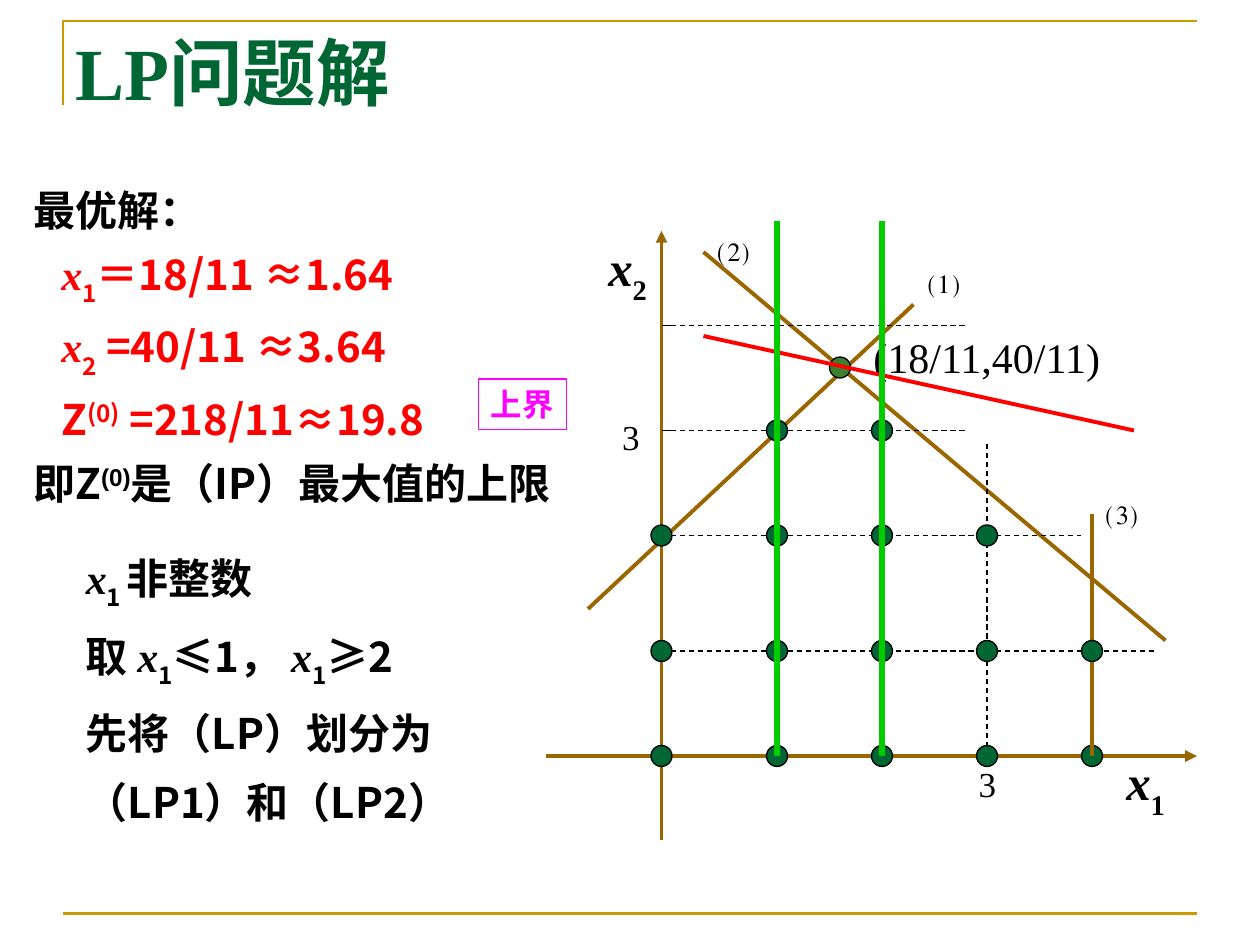
from dataclasses import dataclass
from typing import Optional

from lxml.etree import SubElement
from pptx import Presentation
from pptx.dml.color import RGBColor
from pptx.enum.dml import MSO_LINE
from pptx.enum.shapes import MSO_CONNECTOR, MSO_SHAPE
from pptx.enum.text import MSO_ANCHOR, MSO_AUTO_SIZE, PP_ALIGN
from pptx.oxml.ns import qn
from pptx.util import Pt

SERIF = "Times New Roman"
SANS = "Noto Sans CJK SC"
BLACK, RED, GREEN, BROWN = "000000", "FF0000", "006633", "996600"
GOLD, LIME, MAGENTA = "CC9900", "00CC00", "FF00FF"
COLUMNS = [378, 444, 504, 564, 624]
ROWS = [432, 372, 306, 246, 186]


@dataclass
class Span:
    text: str
    font: Optional[str] = None
    italic: bool = False
    shift: int = 0


@dataclass
class Para:
    spans: list[Span]
    size: float
    color: str = BLACK
    font: str = SERIF
    bold: bool = False
    indent: float = 0


@dataclass
class Box:
    left: float
    top: float
    width: float
    height: float
    paras: list[Para]
    gap: float = 0
    wrap: bool = False


@dataclass
class Line:
    x1: float
    y1: float
    x2: float
    y2: float
    color: str = BROWN
    width: float = 2.25
    dashed: bool = False
    arrow: bool = False


def rgb(value: str) -> RGBColor:
    return RGBColor.from_string(value)


def draw_line(page, item: Line) -> None:
    line = page.shapes.add_connector(
        MSO_CONNECTOR.STRAIGHT, Pt(item.x1), Pt(item.y1), Pt(item.x2), Pt(item.y2))
    line.line.color.rgb = rgb(item.color)
    line.line.width = Pt(item.width)
    if item.dashed:
        line.line.dash_style = MSO_LINE.DASH
    if item.arrow:
        SubElement(line.line._get_or_add_ln(), qn("a:tailEnd"), type="triangle")
    SubElement(line._element.spPr, qn("a:effectLst"))


def draw_dot(page, x: float, y: float, color: str = GREEN) -> None:
    dot = page.shapes.add_shape(MSO_SHAPE.OVAL, Pt(x - 6), Pt(y - 6), Pt(12), Pt(12))
    dot.shadow.inherit = False
    dot.fill.solid()
    dot.fill.fore_color.rgb = rgb(color)
    dot.line.color.rgb = rgb(BLACK)
    dot.line.width = Pt(0.75)


def write_para(para, item: Para) -> None:
    para.alignment = PP_ALIGN.LEFT
    properties = para._p.get_or_add_pPr()
    if item.indent:
        properties.set("marL", str(Pt(item.indent)))
        properties.set("indent", "0")
    para.font.size = Pt(item.size)
    para.font.bold = item.bold
    para.font.color.rgb = rgb(item.color)
    para.font.name = item.font
    SubElement(properties.find(qn("a:defRPr")), qn("a:ea"), typeface=SANS)
    for span in item.spans:
        run = para.add_run()
        run.text = span.text
        if span.font:
            run.font.name = span.font
        if span.italic:
            run.font.italic = True
        if span.shift:
            run._r.get_or_add_rPr().set("baseline", str(span.shift * 1000))


def fill_frame(frame, item: Box) -> None:
    frame.word_wrap = item.wrap
    frame.auto_size = MSO_AUTO_SIZE.SHAPE_TO_FIT_TEXT
    frame.vertical_anchor = MSO_ANCHOR.TOP
    for index, content in enumerate(item.paras):
        para = frame.add_paragraph() if index else frame.paragraphs[0]
        if index and item.gap:
            para.space_before = Pt(item.gap)
        write_para(para, content)


def draw_text(page, item: Box) -> None:
    box = page.shapes.add_textbox(
        Pt(item.left), Pt(item.top), Pt(item.width), Pt(item.height))
    fill_frame(box.text_frame, item)


def draw_tag(page, item: Box, color: str) -> None:
    tag = page.shapes.add_shape(
        MSO_SHAPE.RECTANGLE, Pt(item.left), Pt(item.top), Pt(item.width), Pt(item.height))
    tag.shadow.inherit = False
    tag.fill.background()
    tag.line.color.rgb = rgb(color)
    tag.line.width = Pt(0.75)
    fill_frame(tag.text_frame, item)


def draw_corner(page) -> None:
    builder = page.shapes.build_freeform(Pt(36), Pt(60))
    builder.add_line_segments([(Pt(36), Pt(12)), (Pt(684), Pt(12))], close=False)
    corner = builder.convert_to_shape()
    corner.shadow.inherit = False
    corner.fill.background()
    corner.line.color.rgb = rgb(GOLD)
    corner.line.width = Pt(1.5)


def variable(index: str) -> list[Span]:
    return [Span("x", SERIF, True), Span(index, shift=-30)]


def body(*spans: Span, color: str = BLACK, indent: float = 0) -> Para:
    return Para(list(spans), 24, color, SANS, True, indent)


def label(left: float, top: float, width: float, text: str, size: float = 20) -> Box:
    return Box(left, top, width, 31.5, [Para([Span(text)], size)])


def draw_graph(page) -> None:
    draw_line(page, Line(312, 432, 684, 432, arrow=True))
    draw_line(page, Line(378, 480, 378, 132, arrow=True))
    for y in ROWS[3:]:
        draw_line(page, Line(378, y, 384, y, BLACK, 0.75))
    for left, top, index in [(636.5, 426, "1"), (340.5, 132, "2")]:
        name = Para(variable(index), 28, bold=True)
        draw_text(page, Box(left, top, 40, 46.8, [name]))
    draw_line(page, Line(666, 366, 402, 144))
    draw_line(page, Line(336, 348, 522, 174))
    for item in [label(523.5, 144, 31.7, "⑴"), label(403.2, 126, 31.7, "⑵"),
                 label(348.5, 234, 24.5, "3"), label(552.2, 432, 24.5, "3"),
                 label(492, 186, 145.5, "(18/11,40/11)", 24),
                 label(625, 276, 31.7, "⑶")]:
        draw_text(page, item)
    for y, end in zip(ROWS[1:], [660, 618, 552, 552]):
        draw_line(page, Line(378, y, end, y, BLACK, 0.75, dashed=True))
    draw_line(page, Line(564, 432, 564, 252, BLACK, 0.75, dashed=True))
    for x in COLUMNS:
        draw_dot(page, x, ROWS[0])
    draw_line(page, Line(624, 432, 624, 294))
    for y, columns in zip(ROWS[1:], [COLUMNS, COLUMNS[:4], COLUMNS[1:3]]):
        for x in columns:
            draw_dot(page, x, y)
    draw_dot(page, 480, 210, "3B812F")
    draw_line(page, Line(402, 192, 648, 246, RED))


def main() -> None:
    deck = Presentation()
    deck.slide_width, deck.slide_height = Pt(720), Pt(540)
    page = deck.slides.add_slide(deck.slide_layouts[6])
    draw_corner(page)
    draw_line(page, Line(36, 522, 684, 522, GOLD, 1.5))
    title = Para([Span("LP问题解")], 42, GREEN, bold=True)
    draw_text(page, Box(36, 12, 648, 72, [title], wrap=True))
    draw_graph(page)
    solution = [
        body(Span("最优解：")),
        body(*variable("1"), Span("＝18/11 ≈1.64"), color=RED, indent=16),
        body(*variable("2"), Span(" =40/11 ≈3.64"), color=RED, indent=16),
        body(Span("Z"), Span("(0)", shift=30), Span(" =218/11≈19.8"),
             color=RED, indent=16),
        body(Span("即Z"), Span("(0)", "Arial", shift=30), Span("是（IP）最大值的上限")),
    ]
    draw_text(page, Box(12, 102, 330, 220, solution, 7.5, True))
    branching = [
        body(*variable("1 "), Span("非整数")),
        body(Span("取 "), *variable("1"), Span("≤1， "), *variable("1"), Span("≥2")),
        body(Span("先将（LP）划分为")),
        body(Span("（LP1）和（LP2）")),
    ]
    draw_text(page, Box(42, 312, 324, 164, branching, 10.5, True))
    for x in COLUMNS[1:3]:
        draw_line(page, Line(x, 432, x, 126, LIME, 3))
    bound = Para([Span("上界")], 18, MAGENTA, SANS, True)
    draw_tag(page, Box(273.5, 216.5, 50.4, 29, [bound]), MAGENTA)
    deck.save("out.pptx")


if __name__ == "__main__":
    main()
